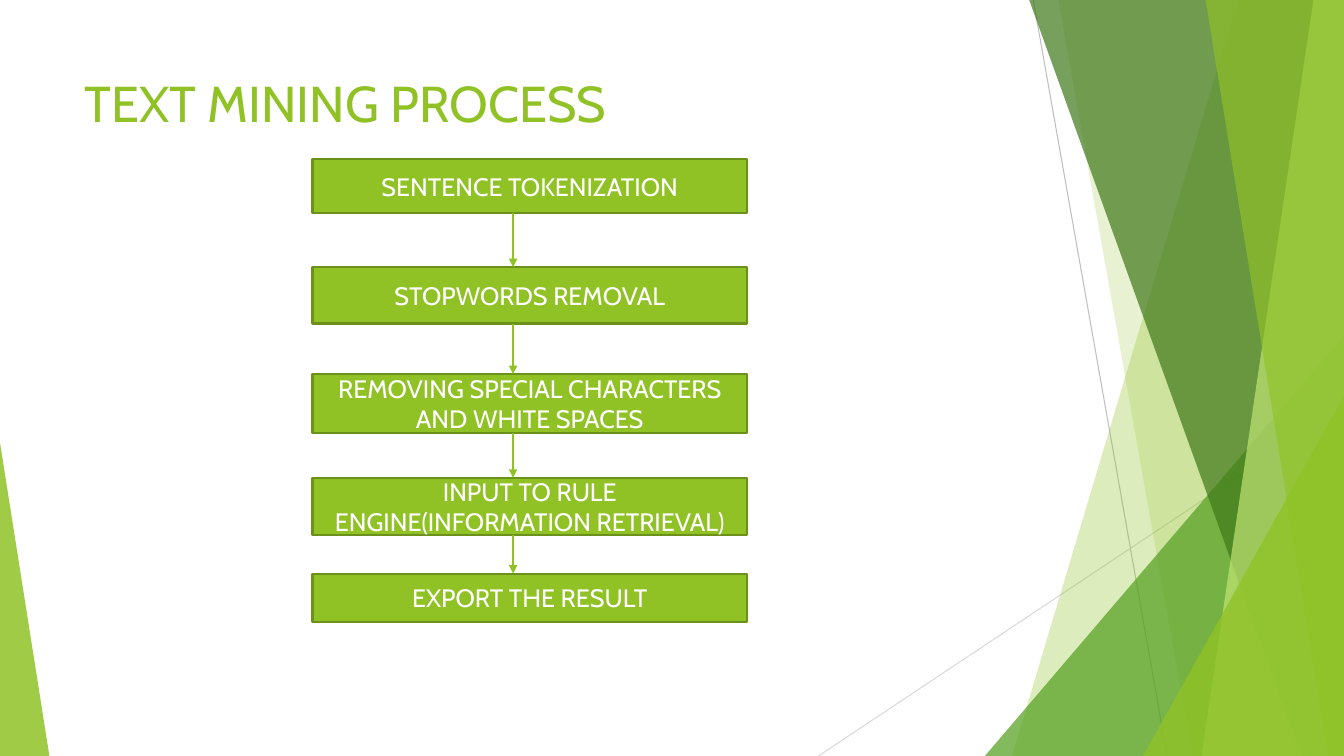
from itertools import pairwise

from lxml.etree import SubElement
from pptx import Presentation
from pptx.dml.color import RGBColor
from pptx.enum.shapes import MSO_CONNECTOR, MSO_SHAPE
from pptx.enum.text import PP_ALIGN, MSO_ANCHOR
from pptx.oxml.ns import qn
from pptx.util import Inches, Pt

WIDTH, HEIGHT = Inches(13.333), Inches(7.5)
FONT = "Cabin"
GREEN = "90C226"
STEP_LEFT, STEP_WIDTH, ARROW_X = 23.25, 32.33, 38.18
STEPS = [
    ("SENTENCE TOKENIZATION", 21.07, 7.07),
    ("STOPWORDS REMOVAL", 35.33, 7.47),
    ("REMOVING SPECIAL CHARACTERS AND WHITE SPACES", 49.47, 7.8),
    ("INPUT TO RULE ENGINE(INFORMATION RETRIEVAL)", 63.2, 7.6),
    ("EXPORT THE RESULT", 75.87, 6.4),
]


def across(share):
    """Turn a percentage of the slide's width into a length."""
    return round(WIDTH * share / 100)


def down(share):
    """Turn a percentage of the slide's height into a length."""
    return round(HEIGHT * share / 100)


def box(left, top, width, height):
    """Turn four percentages into a position and size."""
    return across(left), down(top), across(width), down(height)


def colour(hex_string):
    """Turn a hex string into a colour."""
    return RGBColor.from_string(hex_string)


def paint(shape, hex_string, opacity=100):
    """Fill a shape without shadow, at an opacity in percent."""
    shape.shadow.inherit = False
    shape.fill.solid()
    shape.fill.fore_color.rgb = colour(hex_string)
    if opacity < 100:
        tint = shape.fill._xPr.find(qn("a:solidFill"))[0]
        SubElement(tint, qn("a:alpha"), val=str(opacity * 1000))


def write(frame, words, size, hex_string, align, anchor):
    """Write one formatted run into a text frame."""
    frame.word_wrap = True
    frame.vertical_anchor = anchor
    paragraph = frame.paragraphs[0]
    paragraph.alignment = align
    run = paragraph.add_run()
    run.text = words
    run.font.name = FONT
    run.font.size = Pt(size)
    run.font.color.rgb = colour(hex_string)


def add_line(slide, start, end, hex_string, weight, arrow=False):
    """Draw a straight line between two points, with an optional arrowhead."""
    line = slide.shapes.add_connector(
        MSO_CONNECTOR.STRAIGHT,
        across(start[0]), down(start[1]), across(end[0]), down(end[1]))
    line.line.color.rgb = colour(hex_string)
    line.line.width = Pt(weight)
    if arrow:
        SubElement(line.line._get_or_add_ln(), qn("a:tailEnd"), type="triangle")
    SubElement(line._element.spPr, qn("a:effectLst"))


def add_facet(slide, top_x, bottom_x, hex_string, opacity):
    """Draw a full-height facet from a slanted edge to the right border."""
    outline = slide.shapes.build_freeform(across(top_x), 0)
    outline.add_line_segments(
        [(WIDTH, 0), (WIDTH, HEIGHT), (across(bottom_x), HEIGHT)])
    facet = outline.convert_to_shape()
    paint(facet, hex_string, opacity)
    facet.line.fill.background()


def add_corner(slide, left, top, width, apex, hex_string, opacity):
    """Draw a triangle standing on the bottom border."""
    corner = slide.shapes.add_shape(
        MSO_SHAPE.ISOSCELES_TRIANGLE, *box(left, top, width, 100 - top))
    corner.adjustments[0] = apex
    paint(corner, hex_string, opacity)
    corner.line.fill.background()


def add_backdrop(slide):
    """Draw the layered facets and thin lines at the borders."""
    add_line(slide, (76.88, 0), (86.85, 100), "BFBFBF", 0.75)
    add_line(slide, (100, 53.73), (60.9, 100), "D9D9D9", 0.75)
    add_facet(slide, 92.1, 75.3, GREEN, 30)
    add_facet(slide, 78.75, 88.73, GREEN, 20)
    add_corner(slide, 73.28, 44.4, 26.72, 1, "54A021", 72)
    add_facet(slide, 76.58, 96.83, "3F7819", 70)
    add_facet(slide, 97.73, 89.4, "C0E474", 70)
    add_facet(slide, 89.7, 98.85, GREEN, 65)
    add_corner(slide, 85.05, 52.4, 14.95, 1, GREEN, 80)
    add_corner(slide, 0, 58.53, 3.68, 0, GREEN, 85)


def add_title(slide, words):
    """Place the title placeholder in front of the backdrop."""
    title = slide.shapes.title
    title.left, title.top, title.width, title.height = box(5.55, 8.93, 70.5, 19.2)
    write(title.text_frame, words, 36, GREEN, PP_ALIGN.LEFT, MSO_ANCHOR.TOP)
    slide.shapes._spTree.append(title._element)


def add_step(slide, words, top, height):
    """Draw one labelled step of the process."""
    step = slide.shapes.add_shape(
        MSO_SHAPE.RECTANGLE, *box(STEP_LEFT, top, STEP_WIDTH, height))
    paint(step, GREEN)
    step.line.color.rgb = colour("6B901C")
    step.line.width = Pt(1.5)
    write(step.text_frame, words, 18, "FFFFFF", PP_ALIGN.CENTER, MSO_ANCHOR.MIDDLE)


def main():
    """Build and save the slide."""
    deck = Presentation()
    deck.slide_width, deck.slide_height = WIDTH, HEIGHT
    slide = deck.slides.add_slide(deck.slide_layouts.get_by_name("Title Only"))
    add_backdrop(slide)
    add_title(slide, "TEXT MINING PROCESS")
    for step in STEPS:
        add_step(slide, *step)
    for (_, top, height), (_, next_top, _) in pairwise(STEPS):
        add_line(slide, (ARROW_X, top + height), (ARROW_X, next_top), GREEN, 1, arrow=True)
    deck.save("out.pptx")


main()
